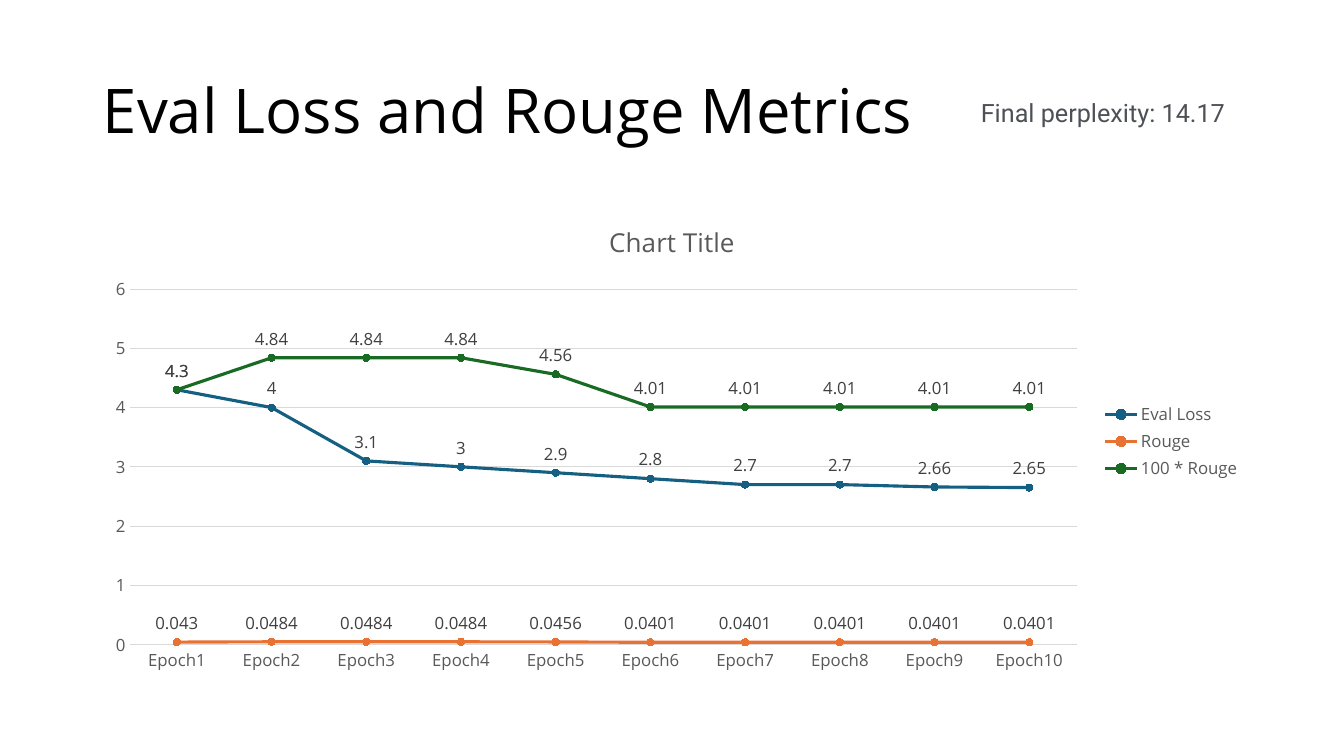
from pptx import Presentation
from pptx.chart.data import CategoryChartData
from pptx.dml.color import RGBColor
from pptx.enum.chart import (XL_CHART_TYPE, XL_LABEL_POSITION, XL_LEGEND_POSITION,
                             XL_MARKER_STYLE, XL_TICK_MARK)
from pptx.enum.text import MSO_ANCHOR, PP_ALIGN
from pptx.util import Inches, Pt

LINE_MARKERS = XL_CHART_TYPE.LINE_MARKERS
ABOVE = XL_LABEL_POSITION.ABOVE
LEGEND_RIGHT = XL_LEGEND_POSITION.RIGHT
CIRCLE = XL_MARKER_STYLE.CIRCLE
NO_TICK = XL_TICK_MARK.NONE
MIDDLE = MSO_ANCHOR.MIDDLE
LEFT = PP_ALIGN.LEFT

TITLE = "Eval Loss and Rouge Metrics"
NOTE = "Final perplexity: 14.17"
CHART_TITLE = "Chart Title"
FONT = "Open Sans"
GREY, PALE = "595959", "D9D9D9"
EPOCHS = [f"Epoch{n}" for n in range(1, 11)]
SERIES = [
    ("Eval Loss", "156082", [4.3, 4, 3.1, 3, 2.9, 2.8, 2.7, 2.7, 2.66, 2.65]),
    ("Rouge", "E97132", [0.043] + [0.0484] * 3 + [0.0456] + [0.0401] * 5),
    ("100 * Rouge", "196B24", [4.3] + [4.84] * 3 + [4.56] + [4.01] * 5),
]

WIDTH, HEIGHT = 13.33, 7.5
MARGIN = 0.92
BODY_W = WIDTH - 2 * MARGIN


def rgb(color):
    return RGBColor.from_string(color)


def style(font, size, color, name=FONT):
    font.size, font.name, font.bold = Pt(size), name, False
    font.color.rgb = rgb(color)


def style_line(line, color, width):
    line.color.rgb = rgb(color)
    line.width = Pt(width)


def box(left, top, width, height):
    return [Inches(v) for v in (left, top, width, height)]


def add_title(s):
    sp = s.shapes.title
    sp.left, sp.top, sp.width, sp.height = box(MARGIN, 0.4, BODY_W, 1.45)
    tf = sp.text_frame
    tf.text = TITLE
    tf.vertical_anchor = MIDDLE
    p = tf.paragraphs[0]
    p.alignment, p.line_spacing = LEFT, 0.9
    style(p.runs[0].font, 44, "000000")


def add_note(s):
    left = 9.63
    tf = s.shapes.add_textbox(*box(left, MARGIN, WIDTH - left, 0.4)).text_frame
    tf.word_wrap = True
    tf.text = NOTE
    style(tf.paragraphs[0].runs[0].font, 18, "4D5156", "Roboto")


def add_metrics_chart(s):
    data = CategoryChartData()
    data.categories = EPOCHS
    for name, _, values in SERIES:
        data.add_series(name, values)
    chart = s.shapes.add_chart(LINE_MARKERS, *box(MARGIN, 2, BODY_W, 4.76), data).chart
    style(chart.font, 10, "000000")
    chart.has_title = True
    tf = chart.chart_title.text_frame
    tf.text = CHART_TITLE
    style(tf.paragraphs[0].runs[0].font, 18.6, GREY)
    chart.chart_title.include_in_layout = False

    chart.has_legend = True
    chart.legend.position = LEGEND_RIGHT
    chart.legend.include_in_layout = False
    style(chart.legend.font, 12, GREY)

    for axis in (chart.category_axis, chart.value_axis):
        axis.major_tick_mark = axis.minor_tick_mark = NO_TICK
        style(axis.tick_labels.font, 12, GREY)
    style_line(chart.category_axis.format.line, PALE, 0.75)
    chart.value_axis.format.line.fill.background()
    style_line(chart.value_axis.major_gridlines.format.line, PALE, 0.75)

    plot = chart.plots[0]
    plot.vary_by_categories = False
    for series, (_, color, _) in zip(plot.series, SERIES):
        series.smooth = False
        style_line(series.format.line, color, 2.25)
        marker = series.marker
        marker.style, marker.size = CIRCLE, 5
        marker.format.fill.solid()
        marker.format.fill.fore_color.rgb = rgb(color)
        style_line(marker.format.line, color, 0.75)
        labels = series.data_labels
        labels.show_value, labels.position = True, ABOVE
        style(labels.font, 12, "404040")


def main():
    prs = Presentation()
    prs.slide_width, prs.slide_height = Inches(WIDTH), Inches(HEIGHT)
    s = prs.slides.add_slide(prs.slide_layouts[5])
    add_title(s)
    add_metrics_chart(s)
    add_note(s)
    prs.save("out.pptx")


if __name__ == "__main__":
    main()
